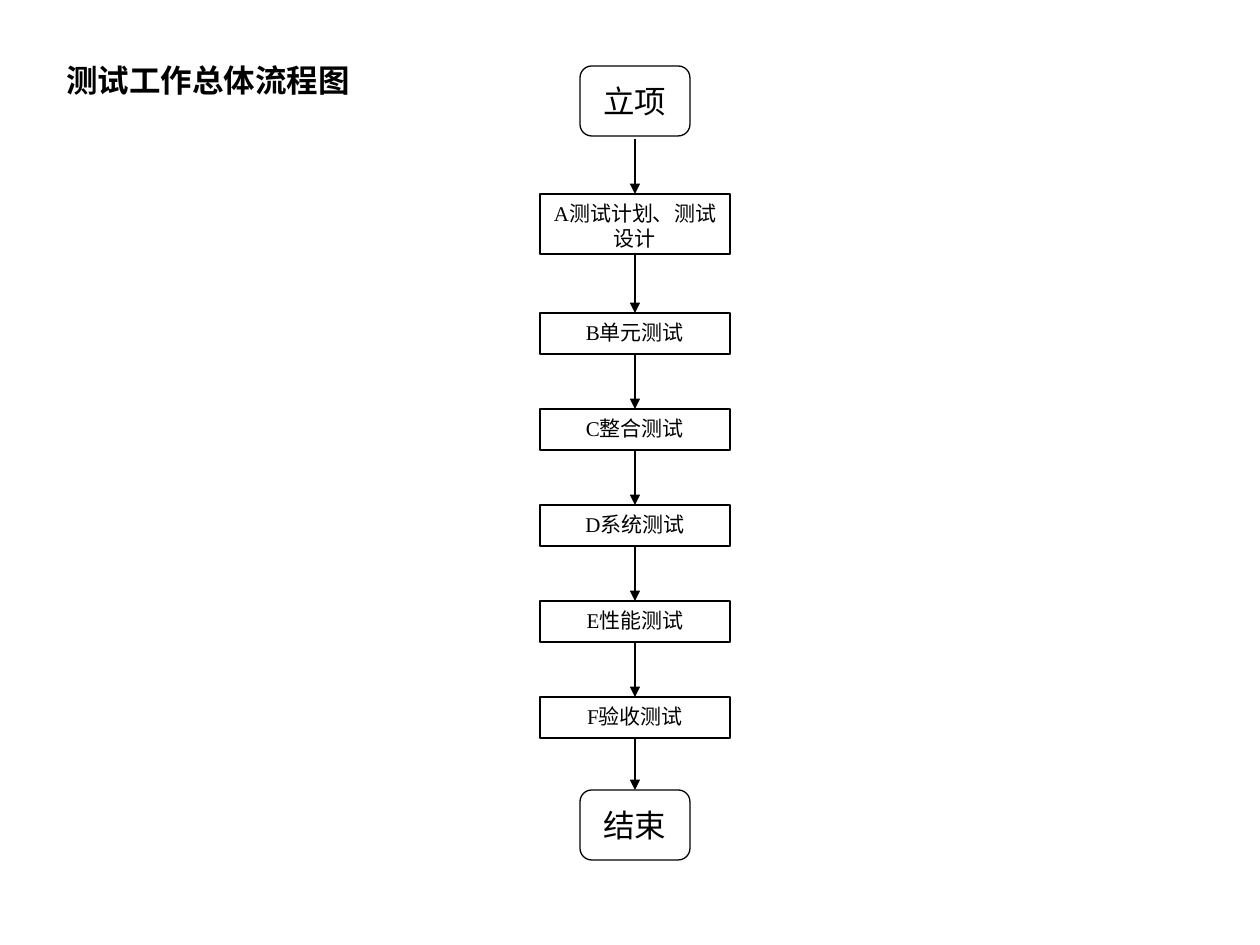
import dataclasses
import itertools

import pptx
import pptx.dml.color
import pptx.enum.dml
import pptx.enum.shapes
import pptx.enum.text
import pptx.oxml
import pptx.oxml.ns
import pptx.util
from lxml import etree

SCALE = 914400 / 126
SHAPES = pptx.enum.shapes.MSO_SHAPE
ANCHOR = pptx.enum.text.MSO_ANCHOR
ALIGN = pptx.enum.text.PP_ALIGN


@dataclasses.dataclass(frozen=True)
class Theme:
    """Colours, fonts and sizes of the slide."""
    ink: pptx.dml.color.RGBColor = pptx.dml.color.RGBColor(0, 0, 0)
    paper: pptx.dml.color.RGBColor = pptx.dml.color.RGBColor(255, 255, 255)
    sans: str = "Arial"
    serif: str = "Times New Roman"
    large: int = 18
    small: int = 12
    line: float = 0.75


THEME = Theme()


def px(length):
    """Turn pixels into EMU."""
    return pptx.util.Emu(round(length * SCALE))


def add_span(para, text, font, size, bold=False):
    """Add one run of text to a paragraph."""
    span = para.add_run()
    span.text = text
    span.font.name = font
    span.font.size = pptx.util.Pt(size)
    span.font.bold = bold
    span.font.color.rgb = THEME.ink


def add_node(page, kind, left, top, width, height):
    """Draw an outlined flowchart node with centred text."""
    node = page.shapes.add_shape(kind, px(left), px(top), px(width), px(height))
    node.shadow.inherit = False
    node.line.color.rgb = THEME.ink
    node.line.width = pptx.util.Pt(THEME.line)
    node.text_frame.paragraphs[0].alignment = ALIGN.CENTER
    return node


def add_terminal(page, text, center, top):
    """Draw a rounded start or end node."""
    node = add_node(page, SHAPES.FLOWCHART_ALTERNATE_PROCESS, center - 55, top, 110, 70)
    node.fill.background()
    node.text_frame.word_wrap = False
    node.text_frame.vertical_anchor = ANCHOR.MIDDLE
    add_span(node.text_frame.paragraphs[0], text, THEME.sans, THEME.large)
    return node


def add_step(page, spans, center, top, height):
    """Draw a rectangular process step."""
    node = add_node(page, SHAPES.FLOWCHART_PROCESS, center - 95, top, 190, height)
    node.fill.solid()
    node.fill.fore_color.rgb = THEME.paper
    node.text_frame.word_wrap = True
    node.text_frame.vertical_anchor = ANCHOR.TOP
    for text, font in spans:
        add_span(node.text_frame.paragraphs[0], text, font, THEME.small)
    return node


def add_arrow(page, upper, lower, gap=0):
    """Join two nodes with an arrow, leaving a gap under the upper one if asked."""
    middle = upper.left + upper.width // 2
    start = upper.top + upper.height + px(gap)
    arrow = page.shapes.add_connector(
        pptx.enum.shapes.MSO_CONNECTOR.STRAIGHT, middle, start, middle, lower.top)
    if not gap:
        arrow.begin_connect(upper, 2)
    arrow.end_connect(lower, 0)
    arrow.line.color.rgb = THEME.ink
    arrow.line.width = pptx.util.Pt(THEME.line)
    qn = pptx.oxml.ns.qn
    etree.SubElement(arrow.line._get_or_add_ln(), qn("a:tailEnd"), type="triangle")
    etree.SubElement(arrow._element.spPr, qn("a:effectLst"))


def add_title(page, text, left, top, width, height):
    """Place the slide title."""
    box = page.shapes.add_textbox(px(left), px(top), px(width), px(height))
    box.text_frame.word_wrap = True
    box.text_frame.auto_size = pptx.enum.text.MSO_AUTO_SIZE.SHAPE_TO_FIT_TEXT
    add_span(box.text_frame.paragraphs[0], text, THEME.sans, THEME.large, True)


def add_flow(page, left, top, width):
    """Stack the test phases between start and end and join them."""
    center = left + width // 2
    plan = [("A测试计划、", THEME.serif), ("测试设计", THEME.sans)]
    phases = ["B单元测试", "C整合测试", "D系统测试", "E性能测试", "F验收测试"]
    nodes = [add_terminal(page, "立项", center, top),
             add_step(page, plan, center, top + 128, 60)]
    for index, phase in enumerate(phases):
        spans = [(phase, THEME.serif)]
        nodes.append(add_step(page, spans, center, top + 247 + 96 * index, 41))
    nodes.append(add_terminal(page, "结束", center, top + 724))
    for index, (upper, lower) in enumerate(itertools.pairwise(nodes)):
        add_arrow(page, upper, lower, gap=0 if index else 3)


def main():
    """Build the slide and save it."""
    deck = pptx.Presentation()
    deck.slide_width, deck.slide_height = px(1260), px(945)
    page = deck.slides.add_slide(deck.slide_layouts[6])
    add_title(page, "测试工作总体流程图", 54, 55, 358, 50)
    add_flow(page, 540, 66, 190)
    deck.save("out.pptx")


if __name__ == "__main__":
    main()
